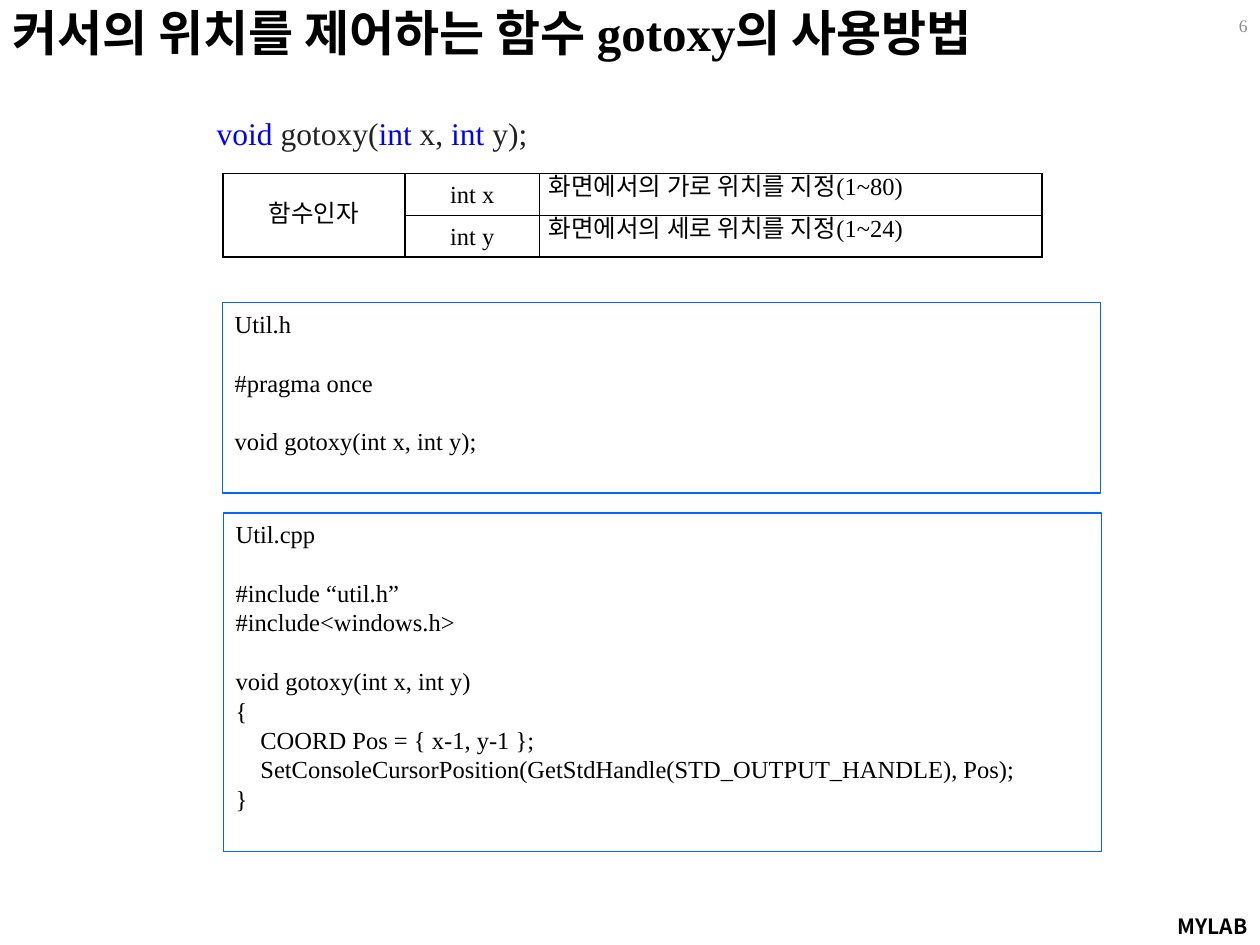
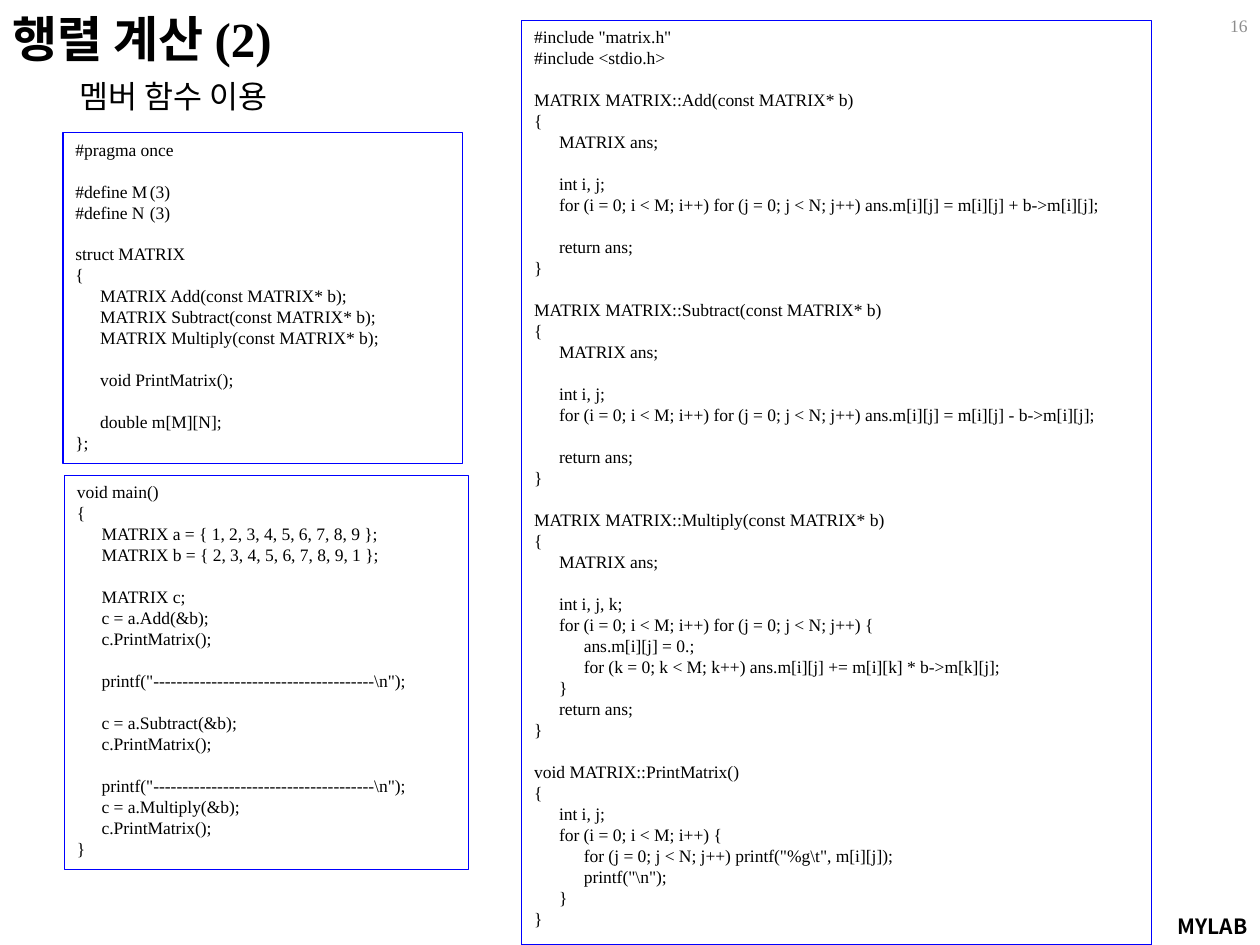
from dataclasses import dataclass

from lxml import etree
from pptx import Presentation
from pptx import util as u
from pptx.dml.color import RGBColor
from pptx.enum import shapes, text
from pptx.oxml import ns


@dataclass(frozen=True)
class Theme:
    # Fonts
    body_font: str = "Times New Roman"
    footer_font: str = "Noto Sans CJK KR"
    # Colours
    black: str = "000000"
    gray: str = "8C8C8C"
    dark: str = "222222"
    keyword: str = "0000FF"
    azure: str = "0066FF"
    # Type sizes in points
    title: float = 28
    subtitle: float = 18
    body: float = 14
    footer: float = 12
    small: float = 10
    # Line pitch as a share of the type size
    pitch: float = 1.2


class Deck:
    """Holds the theme and the slide being built."""

    def __init__(self, theme):
        self.theme = theme
        self.presentation = Presentation()
        self.presentation.slide_width = u.Cm(25.4)
        self.presentation.slide_height = u.Cm(19.05)
        self.slide = None

    def new_slide(self, number):
        self.slide = self.presentation.slides.add_slide(self.presentation.slide_layouts[6])
        theme = self.theme
        right = text.PP_ALIGN.RIGHT
        self.label("MYLAB", (22.61, 18.29, 2.79, 0.76), theme.footer, bold=True,
                   font=theme.footer_font, align=right)
        self.label(str(number), (23.5, 0, 1.9, 1.02), theme.small, theme.gray,
                   align=right, anchor=text.MSO_ANCHOR.MIDDLE)

    def style_run(self, run, size, color, bold=False, font=None):
        run.font.name = font or self.theme.body_font
        run.font.size = u.Pt(size)
        run.font.bold = bold
        run.font.color.rgb = RGBColor.from_string(color)

    def style_paragraph(self, paragraph, size, color=None, bold=False, font=None, align=None):
        paragraph.alignment = align or text.PP_ALIGN.LEFT
        if font is None:
            paragraph.line_spacing = u.Pt(size * self.theme.pitch)
        for run in paragraph.runs:
            self.style_run(run, size, color or self.theme.black, bold, font)

    def text_box(self, box, anchor=text.MSO_ANCHOR.TOP):
        text_frame = self.slide.shapes.add_textbox(*map(u.Cm, box)).text_frame
        text_frame.word_wrap = True
        text_frame.vertical_anchor = anchor
        return text_frame

    def label(self, words, box, size, color=None, bold=False, font=None, align=None,
              anchor=text.MSO_ANCHOR.TOP):
        text_frame = self.text_box(box, anchor)
        text_frame.text = words
        self.style_paragraph(text_frame.paragraphs[0], size, color, bold, font, align)

    def title(self, words, top, width):
        self.label(words, (0, top, width, 1.45), self.theme.title, bold=True)

    def signature(self, parts, box):
        """One line of code made of (words, colour) parts."""
        text_frame = self.text_box(box, text.MSO_ANCHOR.MIDDLE)
        text_frame.margin_left = text_frame.margin_right = u.Cm(0.03)
        text_frame.margin_top = text_frame.margin_bottom = 0
        for words, color in parts:
            run = text_frame.paragraphs[0].add_run()
            run.text = words
            self.style_run(run, self.theme.subtitle, color)

    def code(self, source, box, size, line_color):
        """Framed listing: four spaces become a tab, a blank line becomes space before."""
        frame = self.slide.shapes.add_shape(shapes.MSO_SHAPE.RECTANGLE, *map(u.Cm, box))
        frame.shadow.inherit = False
        frame.fill.background()
        frame.line.color.rgb = RGBColor.from_string(line_color)
        frame.line.width = u.Pt(0.75)
        text_frame = frame.text_frame
        text_frame.word_wrap = True
        text_frame.vertical_anchor = text.MSO_ANCHOR.TOP

        lines = source.strip().replace("    ", "\t").split("\n")
        text_frame.text = "\n".join(line for line in lines if line)
        after_blank = [not before for before, line in zip(["#"] + lines, lines) if line]
        for paragraph, gap in zip(text_frame.paragraphs, after_blank):
            self.style_paragraph(paragraph, size)
            if gap:
                paragraph.space_before = u.Pt(size * self.theme.pitch)
            self.tab_stops(paragraph)

    def tab_stops(self, paragraph):
        properties = paragraph._p.get_or_add_pPr()
        tab_list = etree.SubElement(properties, ns.qn("a:tabLst"))
        for step in range(1, 5):
            etree.SubElement(tab_list, ns.qn("a:tab"), pos=str(u.Cm(0.5 * step)), algn="l")

    def table(self, rows, left, top, widths, row_height):
        """Bordered table; the first column is merged into one cell."""
        graphic = self.slide.shapes.add_table(
            len(rows), len(widths), u.Cm(left), u.Cm(top),
            u.Cm(sum(widths)), u.Cm(row_height * len(rows)))
        table = graphic.table
        table.first_row = table.horz_banding = False
        for column, width in zip(table.columns, widths):
            column.width = u.Cm(width)
        for row, words in zip(table.rows, rows):
            row.height = u.Cm(row_height)
            for index, (cell, word) in enumerate(zip(row.cells, words)):
                last = index == len(widths) - 1
                cell.text = word
                cell.margin_left = cell.margin_right = u.Cm(0.18)
                cell.margin_top = cell.margin_bottom = 0
                cell.vertical_anchor = text.MSO_ANCHOR.TOP if last else text.MSO_ANCHOR.MIDDLE
                self.style_paragraph(cell.text_frame.paragraphs[0], self.theme.body,
                                     align=None if last else text.PP_ALIGN.CENTER)
                self.borders(cell)
                cell.fill.background()
        table.cell(0, 0).merge(table.cell(len(rows) - 1, 0))

    def borders(self, cell):
        properties = cell._tc.get_or_add_tcPr()
        for side in ("a:lnL", "a:lnR", "a:lnT", "a:lnB"):
            line = etree.SubElement(properties, ns.qn(side), w=str(u.Pt(1)))
            fill = etree.SubElement(line, ns.qn("a:solidFill"))
            etree.SubElement(fill, ns.qn("a:srgbClr"), val=self.theme.black)


# Listings
UTIL_HEADER = """
Util.h

#pragma once

void gotoxy(int x, int y);
"""

UTIL_SOURCE = """
Util.cpp

#include “util.h”
#include<windows.h>

void gotoxy(int x, int y)
{
    COORD Pos = { x-1, y-1 };
    SetConsoleCursorPosition(GetStdHandle(STD_OUTPUT_HANDLE), Pos);
}
"""

MATRIX_HEADER = """
#pragma once

#define M    (3)
#define N    (3)

struct MATRIX
{
    MATRIX Add(const MATRIX* b);
    MATRIX Subtract(const MATRIX* b);
    MATRIX Multiply(const MATRIX* b);

    void PrintMatrix();

    double m[M][N];
};
"""

RULE = r'printf("' + "-" * 38 + r'\n");'

MATRIX_MAIN = f"""
void main()
{{
    MATRIX a = {{ 1, 2, 3, 4, 5, 6, 7, 8, 9 }};
    MATRIX b = {{ 2, 3, 4, 5, 6, 7, 8, 9, 1 }};

    MATRIX c;
    c = a.Add(&b);
    c.PrintMatrix();

    {RULE}

    c = a.Subtract(&b);
    c.PrintMatrix();

    {RULE}
    c = a.Multiply(&b);
    c.PrintMatrix();
}}
"""


def elementwise(name, sign):
    return f"""
MATRIX MATRIX::{name}(const MATRIX* b)
{{
    MATRIX ans;

    int i, j;
    for (i = 0; i < M; i++) for (j = 0; j < N; j++) ans.m[i][j] = m[i][j] {sign} b->m[i][j];

    return ans;
}}
"""


MATRIX_SOURCE = r"""
#include "matrix.h"
#include <stdio.h>
""" + elementwise("Add", "+") + elementwise("Subtract", "-") + r"""
MATRIX MATRIX::Multiply(const MATRIX* b)
{
    MATRIX ans;

    int i, j, k;
    for (i = 0; i < M; i++) for (j = 0; j < N; j++) {
        ans.m[i][j] = 0.;
        for (k = 0; k < M; k++) ans.m[i][j] += m[i][k] * b->m[k][j];
    }
    return ans;
}

void MATRIX::PrintMatrix()
{
    int i, j;
    for (i = 0; i < M; i++) {
        for (j = 0; j < N; j++) printf("%g\t", m[i][j]);
        printf("\n");
    }
}
"""


def main():
    theme = Theme()
    deck = Deck(theme)

    # Cursor positioning
    deck.new_slide(6)
    deck.title("커서의 위치를 제어하는 함수 gotoxy의 사용방법", -0.08, 24.64)
    deck.signature([("void ", theme.keyword), ("gotoxy(", theme.dark), ("int", theme.keyword),
                    (" x, ", theme.dark), ("int", theme.keyword), (" y);", theme.dark)],
                   (4.34, 2.29, 8, 0.76))
    deck.table([("함수인자", "int x", "화면에서의 가로 위치를 지정(1~80)"),
                ("", "int y", "화면에서의 세로 위치를 지정(1~24)")],
               4.5, 3.5, (3.66, 2.72, 10.13), 0.84)
    deck.code(UTIL_SOURCE, (4.5, 10.34, 17.7, 6.83), theme.body, theme.azure)
    deck.code(UTIL_HEADER, (4.48, 6.1, 17.7, 3.84), theme.body, theme.azure)

    # Matrix arithmetic
    deck.new_slide(16)
    deck.title("행렬 계산 (2)", 0.05, 7)
    deck.label("멤버 함수 이용", (1.35, 1.42, 8.2, 1.02), theme.subtitle)
    deck.code(MATRIX_HEADER, (1.27, 2.67, 8.05, 6.68), theme.small, theme.keyword)
    deck.code(MATRIX_SOURCE, (10.52, 0.41, 12.7, 18.64), theme.small, theme.keyword)
    deck.code(MATRIX_MAIN, (1.3, 9.58, 8.15, 7.95), theme.small, theme.keyword)

    deck.presentation.save("out.pptx")


if __name__ == "__main__":
    main()
